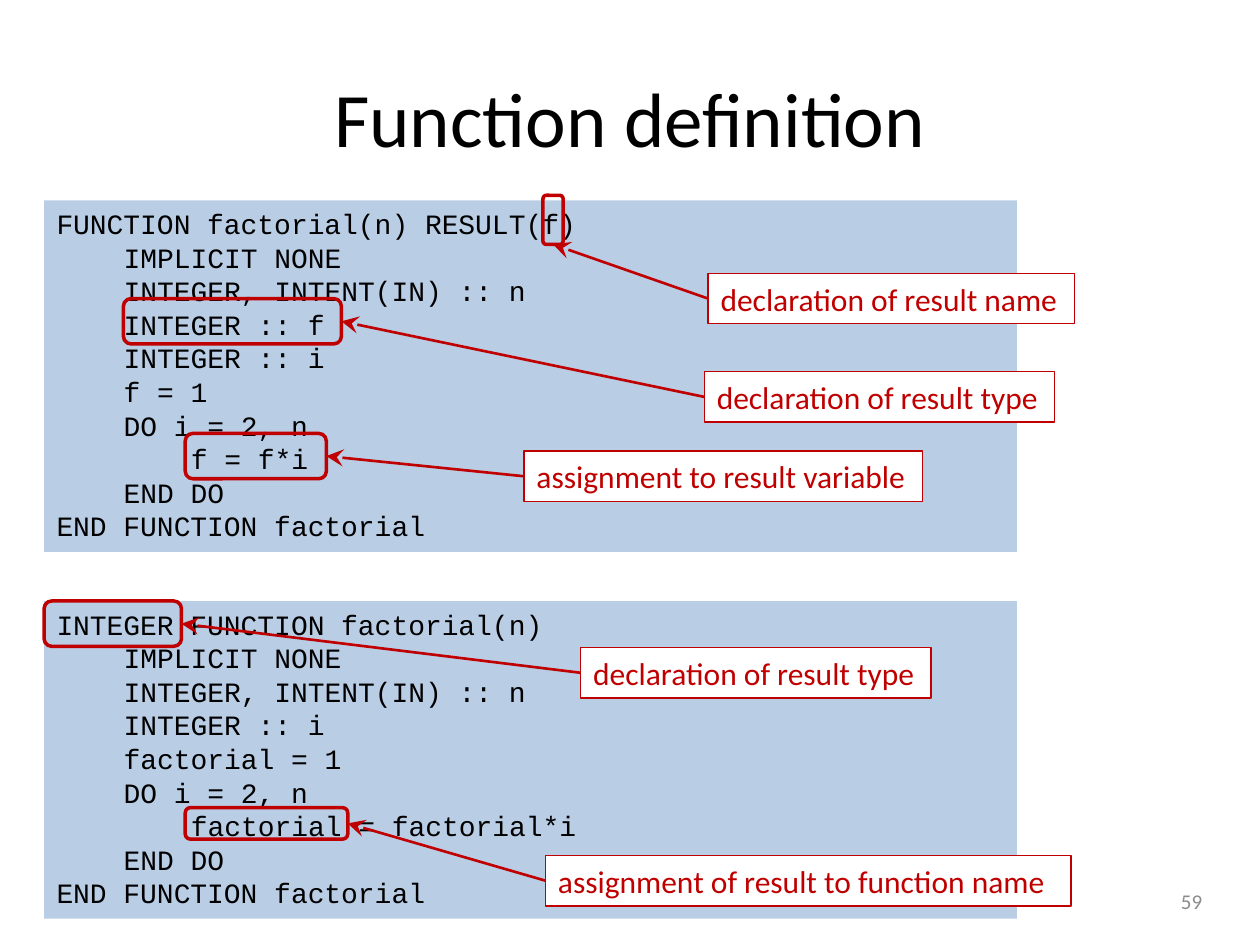
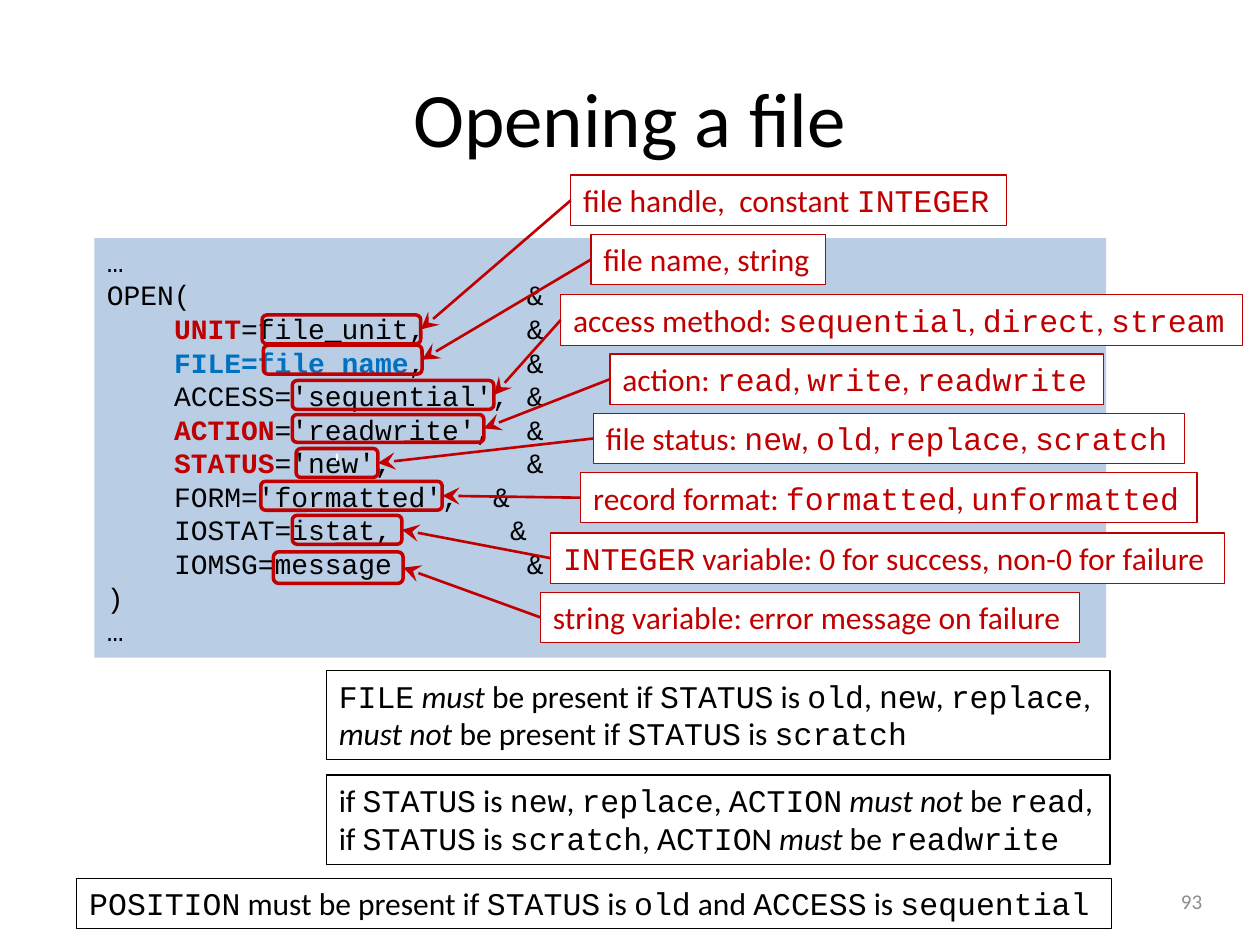
"""Build two Fortran slides: function definition and opening a file."""
import lxml.etree
import pptx
import pptx.dml.color
import pptx.enum.shapes
import pptx.enum.text
import pptx.oxml.ns
import pptx.util

RGB = pptx.dml.color.RGBColor
BLACK = RGB(0x00, 0x00, 0x00)
WHITE = RGB(0xFF, 0xFF, 0xFF)
GREY = RGB(0x8C, 0x8C, 0x8C)
RED = RGB(0xC0, 0x00, 0x00)
BLUE = RGB(0x00, 0x70, 0xC0)
CODE_FILL = RGB(0xB9, 0xCD, 0xE5)
PROSE_FONT, CODE_FONT = "Calibri", "Courier New"
CODE_SIZE, LABEL_SIZE = 16, 18
CODE_ADVANCE = 0.6 * CODE_SIZE
EMU_PER_PX = 9144
TOP, LEFT, BOTTOM, RIGHT = range(4)
ALIGN = pptx.enum.text.PP_ALIGN
MIDDLE = pptx.enum.text.MSO_ANCHOR.MIDDLE

qn = pptx.oxml.ns.qn


def px(*lengths):
    return [pptx.util.Emu(length * EMU_PER_PX) for length in lengths]


class Deck:
    def __init__(self):
        self.show = pptx.Presentation()
        self.show.slide_width, self.show.slide_height = px(1000, 750)
        self.slide = None

    def start(self, title, number):
        self.slide = self.show.slides.add_slide(self.show.slide_layouts[5])
        heading = self.slide.shapes.title
        heading.left, heading.top, heading.width, heading.height = px(50, 30, 900, 125)
        heading.text_frame.vertical_anchor = MIDDLE
        paragraph = heading.text_frame.paragraphs[0]
        paragraph.alignment = ALIGN.CENTER
        self.run(paragraph, title, 44)
        page = self.slide.shapes.add_textbox(*px(731, 695, 233, 40)).text_frame
        page.word_wrap = True
        page.vertical_anchor = MIDDLE
        page.paragraphs[0].alignment = ALIGN.RIGHT
        self.run(page.paragraphs[0], str(number), 12, color=GREY)

    def run(self, paragraph, text, size, font=PROSE_FONT, color=BLACK, bold=False, italic=False):
        run = paragraph.add_run()
        run.text = text
        run.font.size = pptx.util.Pt(size)
        run.font.name = font
        run.font.color.rgb = color
        run.font.bold = bold
        run.font.italic = italic

    def paragraphs(self, frame, lines):
        for index, line in enumerate(lines):
            yield frame.add_paragraph() if index else frame.paragraphs[0], line

    def box(self, place, wrap, fill=None, line=None):
        box = self.slide.shapes.add_textbox(*px(*place))
        box.text_frame.word_wrap = wrap
        box.text_frame.auto_size = pptx.enum.text.MSO_AUTO_SIZE.SHAPE_TO_FIT_TEXT
        if fill is not None:
            box.fill.solid()
            box.fill.fore_color.rgb = fill
        if line is not None:
            box.line.color.rgb = line
            box.line.width = pptx.util.Pt(0.75)
        return box

    def code(self, place, lines):
        listing = self.box(place, True, CODE_FILL)
        for paragraph, (columns, *runs) in self.paragraphs(listing.text_frame, lines):
            stops = lxml.etree.SubElement(paragraph._p.get_or_add_pPr(), qn("a:tabLst"))
            for column in columns:
                position = pptx.util.Pt(column * CODE_ADVANCE)
                lxml.etree.SubElement(stops, qn("a:tab"), pos=str(position), algn="l")
            for text, color in runs:
                self.run(paragraph, text, CODE_SIZE, CODE_FONT, color, bold=color != BLACK)

    def note(self, place, lines, color=BLACK, fill=None, wrap=False):
        note = self.box(place, wrap, fill, color)
        for paragraph, line in self.paragraphs(note.text_frame, lines):
            for index, chunk in enumerate(line.split("`")):
                if index % 2:
                    self.run(paragraph, chunk, LABEL_SIZE, CODE_FONT, color)
                    continue
                for order, phrase in enumerate(chunk.split("*")):
                    if phrase:
                        self.run(paragraph, phrase, LABEL_SIZE, color=color, italic=order % 2 == 1)
        return note

    def highlight(self, place):
        frame = self.slide.shapes.add_shape(
            pptx.enum.shapes.MSO_SHAPE.ROUNDED_RECTANGLE, *px(*place))
        frame.shadow.inherit = False
        frame.fill.background()
        frame.line.color.rgb = RED
        frame.line.width = pptx.util.Pt(2)
        return frame

    def arrow(self, label, target, side):
        arrow = self.slide.shapes.add_connector(
            pptx.enum.shapes.MSO_CONNECTOR.STRAIGHT, 0, 0, 0, 0)
        arrow.begin_connect(label, LEFT)
        arrow.end_connect(target, side)
        arrow.line.color.rgb = RED
        arrow.line.width = pptx.util.Pt(1.5)
        properties = arrow.element.spPr
        lxml.etree.SubElement(properties.find(qn("a:ln")), qn("a:tailEnd"),
                              type="stealth", w="lg", len="lg")
        lxml.etree.SubElement(properties, qn("a:effectLst"))

    def callout(self, target_place, label_place, text, side=RIGHT):
        target = self.highlight(target_place)
        label = self.note((*label_place, 40), [text], RED, WHITE)
        self.arrow(label, target, side)
        return target


def function_definition(deck):
    deck.start("Function definition", 59)
    result_clause = [
        "FUNCTION factorial(n) RESULT(f)",
        "\tIMPLICIT NONE",
        "\tINTEGER, INTENT(IN) :: n",
        "\tINTEGER :: f",
        "\tINTEGER :: i",
        "\tf = 1",
        "\tDO i = 2, n",
        "\t\tf = f*i",
        "\tEND DO",
        "END FUNCTION factorial",
    ]
    typed_function = [
        "INTEGER FUNCTION factorial(n)",
        "\tIMPLICIT NONE",
        "\tINTEGER, INTENT(IN) :: n",
        "\tINTEGER :: i",
        "\tfactorial = 1",
        "\tDO i = 2, n",
        "\t\tfactorial = factorial*i",
        "\tEND DO",
        "END FUNCTION factorial",
    ]
    for place, lines in [((35, 159, 772, 279), result_clause),
                         ((35, 477, 772, 252), typed_function)]:
        deck.code(place, [((4, 8), (line, BLACK)) for line in lines])
    deck.callout((431, 155, 16, 39), (562, 217, 291), "declaration of result name", BOTTOM)
    for target, label, text in [
        ((98, 237, 173, 36), (559, 295, 278), "declaration of result type"),
        ((147, 344, 112, 36), (416, 358, 316), "assignment to result variable"),
        ((35, 477, 109, 36), (461, 514, 278), "declaration of result type"),
        ((147, 641, 129, 25), (433, 679, 417), "assignment of result to function name"),
    ]:
        deck.callout(target, label, text)


def opening_a_file(deck):
    deck.start("Opening a file", 93)
    usual, form, iostat = (4, 25), (4, 23), (4, 24)
    deck.code((75, 189, 803, 333), [
        (usual, ("…", BLACK)),
        (usual, ("OPEN(\t&", BLACK)),
        (usual, ("\t", BLACK), ("UNIT", RED), ("=file_unit,\t&", BLACK)),
        (usual, ("\t", BLACK), ("FILE=file_name", BLUE), (",\t&", BLACK)),
        (usual, ("\tACCESS='sequential',\t&", BLACK)),
        (usual, ("\t", BLACK), ("ACTION", RED), ("='readwrite',\t&", BLACK)),
        (usual, ("\t", BLACK), ("STATUS", RED), ("='new',\t&", BLACK)),
        (form, ("\tFORM='formatted',\t&", BLACK)),
        (iostat, ("\tIOSTAT=istat,\t&", BLACK)),
        (usual, ("\tIOMSG=message\t&", BLACK)),
        (usual, (")", BLACK)),
        (usual, ("…", BLACK)),
    ])
    specifiers = [
        ((208, 250, 126, 23), 453, 346, "file handle,  constant `INTEGER`"),
        ((209, 274, 126, 23), 469, 186, "file name, string"),
        ((232, 302, 160, 23), 445, 541, "access method: `sequential`, `direct`, `stream`"),
        ((232, 329, 152, 22), 484, 392, "action: `read`, `write`, `readwrite`"),
        ((235, 356, 65, 23), 471, 469, "file status: `new`, `old`, `replace`, `scratch`"),
        ((207, 382, 144, 23), 461, 489, "record format: `formatted`, `unformatted`"),
        ((232, 409, 87, 23), 437, 535,
         "`INTEGER` variable: 0 for success, non-0 for failure"),
        ((217, 438, 103, 25), 429, 428, "string variable: error message on failure"),
    ]
    targets = [
        deck.callout(target, (left, 139 + round(47.3 * row), width), text)
        for row, (target, left, width, text) in enumerate(specifiers)
    ]
    status = targets[4].text_frame
    status.vertical_anchor = MIDDLE
    status.paragraphs[0].alignment = ALIGN.CENTER
    deck.run(status.paragraphs[0], "'", LABEL_SIZE, color=WHITE)

    deck.note((259, 532, 622, 71), [
        "`FILE` *must* be present if `STATUS` is `old`, `new`, `replace`,",
        "*must not *be present if `STATUS` is `scratch`",
    ])
    deck.note((259, 615, 622, 71), [
        "if `STATUS` is `new`, `replace`, `ACTION` *must not* be `read`,",
        "if `STATUS` is `scratch`, `ACTIO`N *must* be `readwrite`",
    ], wrap=True)
    deck.note((61, 697, 821, 40), [
        "`POSITION` must be present if `STATUS` is `old` and `ACCESS` is `sequential`",
    ])


def main():
    deck = Deck()
    function_definition(deck)
    opening_a_file(deck)
    deck.show.save("out.pptx")


if __name__ == "__main__":
    main()
